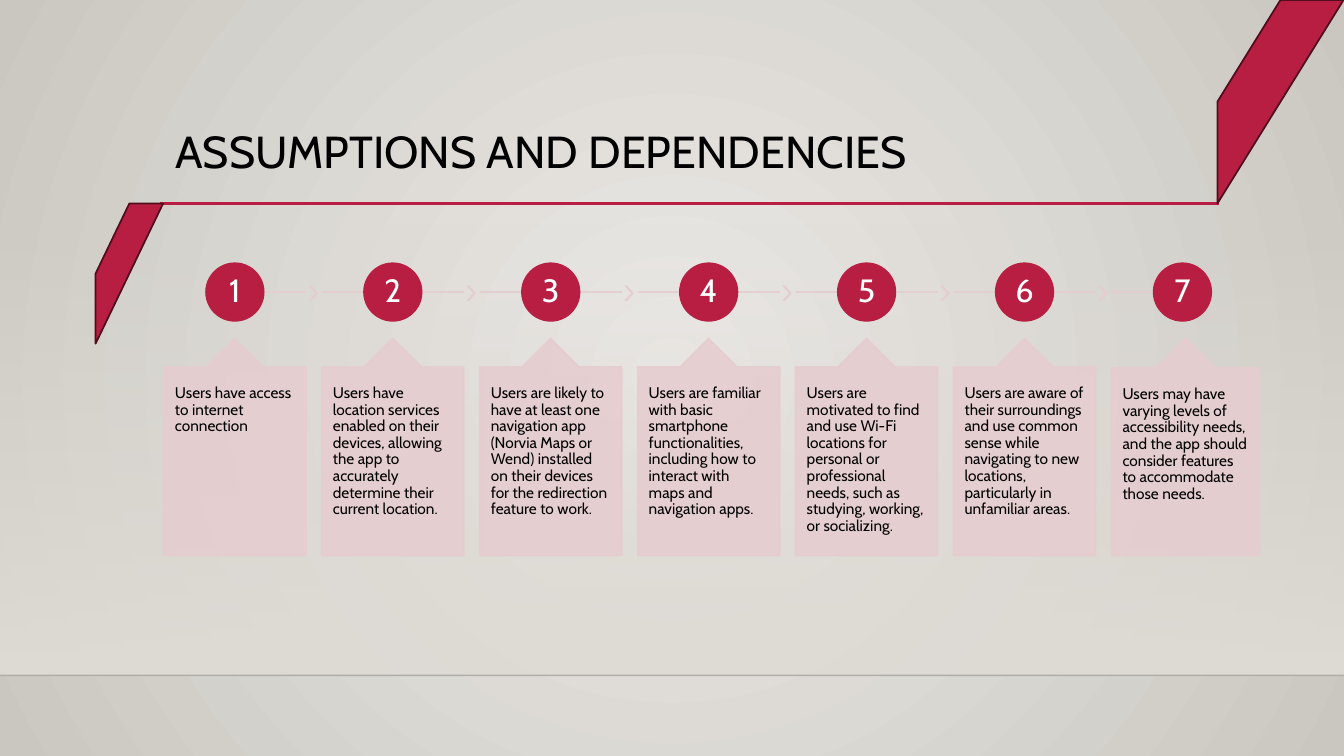
from dataclasses import dataclass

from lxml.etree import SubElement
from pptx import Presentation
from pptx.dml.color import RGBColor
from pptx.enum.shapes import MSO_CONNECTOR, MSO_SHAPE
from pptx.enum.text import MSO_ANCHOR, PP_ALIGN
from pptx.oxml.ns import qn
from pptx.util import Cm, Pt

# Content
TITLE = "ASSUMPTIONS AND DEPENDENCIES"
ASSUMPTIONS = [
    "Users have access to internet connection",
    "Users have location services enabled on their devices, allowing the app to "
    "accurately determine their current location.",
    "Users are likely to have at least one navigation app (Norvia Maps or Wend) "
    "installed on their devices for the redirection feature to work.",
    "Users are familiar with basic smartphone functionalities, including how to "
    "interact with maps and navigation apps.",
    "Users are motivated to find and use Wi-Fi locations for personal or "
    "professional needs, such as studying, working, or socializing.",
    "Users are aware of their surroundings and use common sense while navigating "
    "to new locations, particularly in unfamiliar areas.",
    "Users may have varying levels of accessibility needs, and the app should "
    "consider features to accommodate those needs.",
]


@dataclass(frozen=True)
class Theme:
    font: str = "Cabin"
    title_size: float = 32
    number_size: float = 23
    body_size: float = 11
    line_width: float = 1.25
    accent: str = "B71E42"
    accent_edge: str = "500D1D"
    pale: str = "E6CDCF"
    ink: str = "000000"
    white: str = "FFFFFF"
    floor: str = "DFDBD5"
    floor_edge: str = "000001"
    bg_inner: str = "ECEAE7"
    bg_outer: str = "CAC7C1"


T = Theme()

# Layout in centimetres
SLIDE_W, SLIDE_H = 33.87, 19.05
FLOOR_TOP, FLOOR_Y = 5.61, 17.02
RULE_Y, RULE_LEFT, RULE_RIGHT = 5.13, 4.04, 30.73
STRIPES = [(2.41, RULE_Y, 1.7, 3.53), (30.68, 0, 3.18, RULE_Y)]
LEFT, PITCH, CARD_W, LAST_CARD_W = 4.13, 3.98, 3.58, 3.73
CARD_TOP, CARD_H = 8.53, 5.47
CIRCLE, AXIS_Y = 1.45, 7.36
CHEVRON_DX, CHEVRON_W, CHEVRON_H = 3.68, 0.18, 0.36


def set_alpha(parent, percent):
    for clr in parent.iter(qn("a:srgbClr")):
        SubElement(clr, qn("a:alpha")).set("val", str(percent * 1000))


def set_gradient(fill, first, last):
    fill.gradient()
    for stop, color in zip(fill.gradient_stops, (first, last)):
        stop.color.rgb = RGBColor.from_string(color)


def add_shape(kind, x, y, w, h, color, edge, alpha=100):
    sp = slide.shapes.add_shape(kind, Cm(x), Cm(y), Cm(w), Cm(h))
    sp.shadow.inherit = False
    sp.fill.solid()
    sp.fill.fore_color.rgb = RGBColor.from_string(color)
    sp.line.color.rgb = RGBColor.from_string(edge)
    sp.line.width = Pt(T.line_width)
    if alpha < 100:
        set_alpha(sp._element.spPr, alpha)
    return sp


def add_line(x1, x2, y, color, width, alpha=100):
    line = slide.shapes.add_connector(MSO_CONNECTOR.STRAIGHT, Cm(x1), Cm(y), Cm(x2), Cm(y))
    line.line.color.rgb = RGBColor.from_string(color)
    line.line.width = Pt(width)
    SubElement(line._element.spPr, qn("a:effectLst"))
    if alpha < 100:
        set_alpha(line._element.spPr, alpha)


def set_text(sp, text, size, color, align, anchor, inset_x, inset_y):
    tf = sp.text_frame
    tf.word_wrap = True
    tf.vertical_anchor = anchor
    tf.margin_left = tf.margin_right = Cm(inset_x)
    tf.margin_top = tf.margin_bottom = Cm(inset_y)
    tf.text = text
    p = tf.paragraphs[0]
    p.alignment = align
    p.line_spacing = 0.9
    p.space_before = Pt(0)
    p.font.name = T.font
    p.font.size = Pt(size)
    p.font.color.rgb = RGBColor.from_string(color)


prs = Presentation()
prs.slide_width, prs.slide_height = Cm(SLIDE_W), Cm(SLIDE_H)
slide = prs.slides.add_slide(prs.slide_layouts[5])

# Background: radial gradient, lightest in the middle
set_gradient(slide.background.fill, T.bg_inner, T.bg_outer)
grad = next(slide._element.iter(qn("a:gradFill")))
grad.remove(grad.find(qn("a:lin")))
radial = SubElement(grad, qn("a:path"))
radial.set("path", "circle")
focus = SubElement(radial, qn("a:fillToRect"))
for side in "ltrb":
    focus.set(side, "50000")

# Floor band fading in from the top
band = slide.shapes.add_shape(
    MSO_SHAPE.RECTANGLE, 0, Cm(FLOOR_TOP), Cm(SLIDE_W), Cm(FLOOR_Y - FLOOR_TOP))
band.shadow.inherit = False
band.line.fill.background()
set_gradient(band.fill, T.floor, T.floor)
band.fill.gradient_angle = 270
set_alpha(next(band._element.iter(qn("a:gs"))), 0)
add_line(0, SLIDE_W, FLOOR_Y, T.floor_edge, 1, 20)

# Title between rule and stripes
add_line(RULE_LEFT, RULE_RIGHT, RULE_Y, T.accent, 2.5)
title = slide.shapes.title
title.left, title.top, title.width, title.height = Cm(4.17), Cm(3.15), Cm(26.67), Cm(2.92)
set_text(title, TITLE, T.title_size, T.ink, PP_ALIGN.LEFT, MSO_ANCHOR.TOP, 0.25, 0.13)
slide.shapes._spTree.append(title._element)
for box in STRIPES:
    add_shape(MSO_SHAPE.DIAGONAL_STRIPE, *box, T.accent, T.accent_edge)

# Numbered timeline with a callout under each step
last = len(ASSUMPTIONS) - 1
for i, text in enumerate(ASSUMPTIONS):
    x = LEFT + i * PITCH
    center = x + CARD_W / 2
    add_line(center if i == 0 else x, center if i == last else x + CARD_W,
             AXIS_Y, T.pale, T.line_width, 90)
    if i < last:
        chevron = add_shape(MSO_SHAPE.CHEVRON, x + CHEVRON_DX, AXIS_Y + 0.03 - CHEVRON_H / 2,
                            CHEVRON_W, CHEVRON_H, T.pale, T.pale, 90)
        chevron.adjustments[0] = 0.9
    circle = add_shape(MSO_SHAPE.OVAL, center - CIRCLE / 2, AXIS_Y - CIRCLE / 2,
                       CIRCLE, CIRCLE, T.accent, T.accent)
    set_text(circle, str(i + 1), T.number_size, T.white,
             PP_ALIGN.CENTER, MSO_ANCHOR.MIDDLE, 0.05, 0.05)
    card = add_shape(MSO_SHAPE.UP_ARROW_CALLOUT, x, CARD_TOP,
                     LAST_CARD_W if i == last else CARD_W, CARD_H, T.pale, T.pale, 90)
    for n, value in enumerate((0.5, 0.2, 0.2, 1)):
        card.adjustments[n] = value
    set_text(card, text, T.body_size, T.ink, PP_ALIGN.LEFT, MSO_ANCHOR.TOP, 0.28, 0.46)

prs.save("out.pptx")
